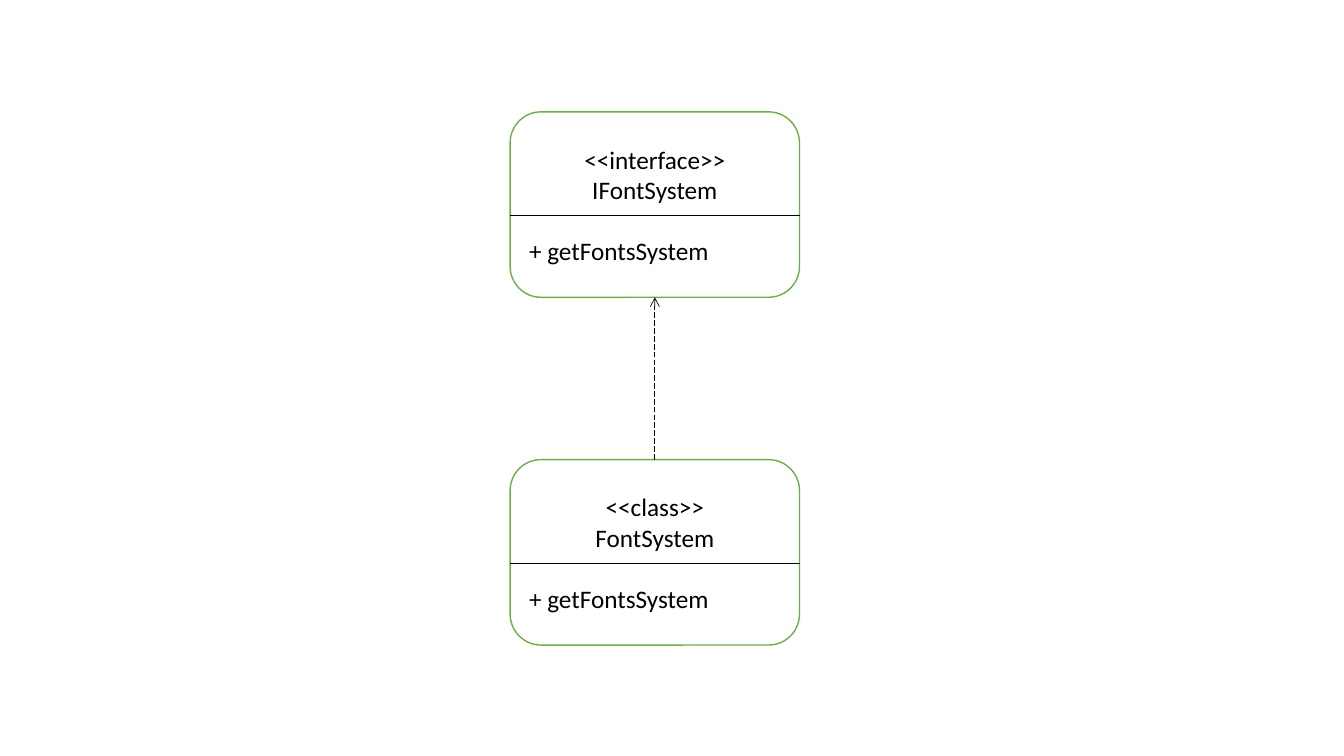
from dataclasses import dataclass
from lxml.etree import SubElement as Sub
from pptx import Presentation
from pptx.dml.color import RGBColor as Rgb
from pptx.enum.dml import MSO_LINE as Dash
from pptx.enum.shapes import MSO_CONNECTOR as Link, MSO_SHAPE as Kind
from pptx.enum.text import MSO_ANCHOR as Anchor, PP_ALIGN as Align
from pptx.oxml.ns import qn
from pptx.util import Inches, Pt


@dataclass(frozen=True)
class Theme:
    ink: Rgb = Rgb(0, 0, 0)
    paper: Rgb = Rgb(255, 255, 255)
    edge: Rgb = Rgb(0x70, 0xAD, 0x47)
    font: str = "Calibri"
    size: Pt = Pt(18)
    gap: Pt = Pt(22)
    thin: Pt = Pt(0.5)
    bold: Pt = Pt(1)


THEME = Theme()
CELL = Inches(0.1)
LEFT, WIDE, TALL = 50.6, 28.7, 18.4
TOP, STEP = 11.1, 34.5
SPLIT = 0.56


def style(item, **values):
    for name, value in values.items():
        setattr(item, name, value)


def rule(slide, start, end):
    line = slide.shapes.add_connector(Link.STRAIGHT, *start, *end)
    line.line.color.rgb = THEME.ink
    line.line.width = THEME.thin
    Sub(line._element.spPr, qn("a:effectLst"))
    return line


def card(slide, box, kind, name, method):
    left, top, wide, tall = [int(n * CELL) for n in box]
    shape = slide.shapes.add_shape(Kind.ROUNDED_RECTANGLE, left, top, wide, tall)
    shape.shadow.inherit = False
    shape.fill.solid()
    shape.fill.fore_color.rgb = THEME.paper
    shape.line.color.rgb = THEME.edge
    shape.line.width = THEME.bold
    frame = shape.text_frame
    style(frame, word_wrap=True, vertical_anchor=Anchor.MIDDLE)
    frame.text = "\n".join((f"<<{kind}>>", name, f"+ {method}"))
    for para in frame.paragraphs:
        para.alignment = Align.CENTER
        for run in para.runs:
            style(run.font, name=THEME.font, size=THEME.size)
            run.font.color.rgb = THEME.ink
    style(frame.paragraphs[-1], alignment=Align.LEFT, space_before=THEME.gap)
    split = top + int(tall * SPLIT)
    rule(slide, (left, split), (left + wide, split))
    return shape


def arrow(slide, low, high):
    line = rule(slide, (0, 0), (0, 0))
    line.begin_connect(low, 0)
    line.end_connect(high, 2)
    line.line.dash_style = Dash.LONG_DASH
    Sub(line.line._get_or_add_ln(), qn("a:tailEnd"), type="arrow")


def main():
    deck = Presentation()
    style(deck, slide_width=Inches(13.33), slide_height=Inches(7.5))
    slide = deck.slides.add_slide(deck.slide_layouts[6])
    types = [("interface", "IFontSystem"), ("class", "FontSystem")]
    high, low = [
        card(slide, (LEFT, TOP + row * STEP, WIDE, TALL), *pair, "getFontsSystem")
        for row, pair in enumerate(types)
    ]
    arrow(slide, low, high)
    deck.save("out.pptx")


main()
